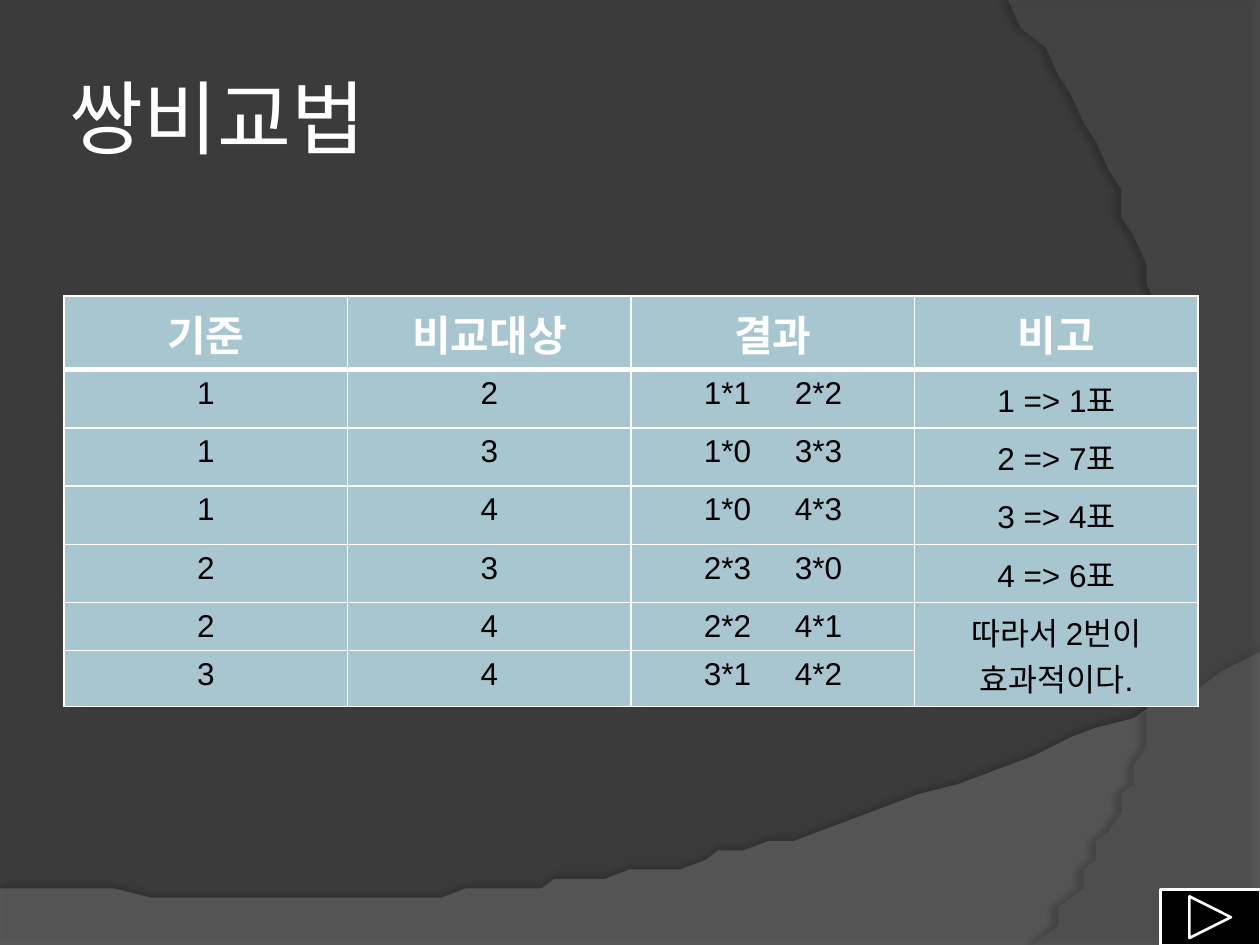
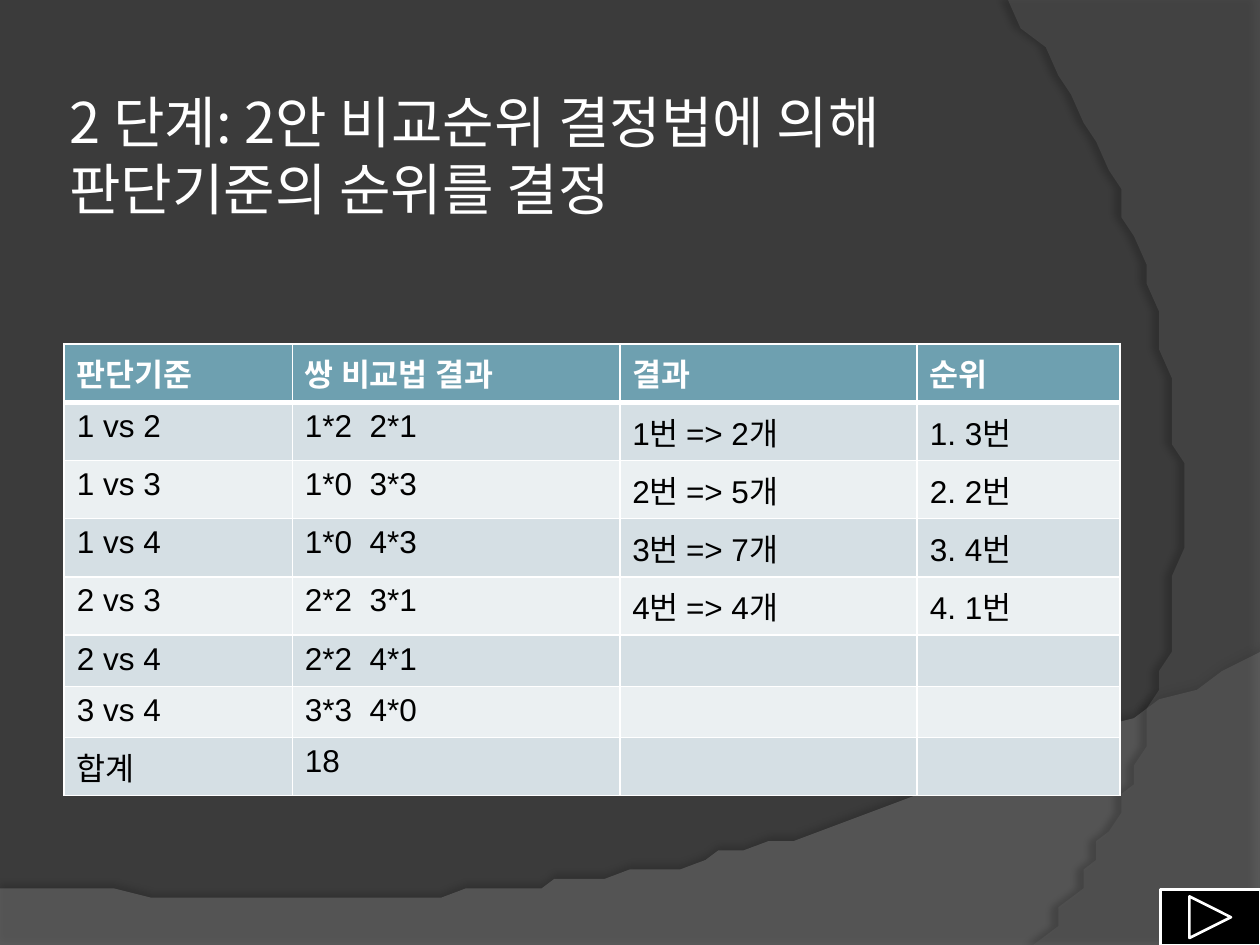
from dataclasses import dataclass

from lxml.etree import SubElement
from pptx import Presentation
from pptx.dml.color import RGBColor
from pptx.enum.shapes import MSO_SHAPE as Preset
from pptx.enum.text import MSO_ANCHOR as Anchor, MSO_AUTO_SIZE as AutoSize, PP_ALIGN as Align
from pptx.oxml.ns import qn
from pptx.util import Emu, Inches, Pt

WIDTH, HEIGHT = Inches(10), Inches(7.5)


@dataclass(frozen=True)
class Theme:
    background: str = "3B3B3B"
    wave: str = "7F7F7F"
    arc: str = "5E5E5E"
    light: str = "FFFFFF"
    dark: str = "000000"
    plain_row: str = "A8C6D0"
    header_row: str = "6EA0B0"
    odd_row: str = "D5DFE4"
    even_row: str = "EBF0F2"
    title_font: str = "Lato"
    korean_font: str = "Noto Sans CJK KR"
    body_font: str = "Arial"
    big_title: int = 46
    long_title: int = 32
    big_header: int = 24
    body: int = 18
    thin: float = 1
    thick: float = 3


THEME = Theme()


# Lengths as percentages of the slide
def across(percent):
    return Emu(round(WIDTH * percent / 100))


def down(percent):
    return Emu(round(HEIGHT * percent / 100))


def color(code):
    return RGBColor.from_string(code)


def add_span(para, text, font, size, code, bold=False):
    span = para.add_run()
    span.text = text
    span.font.name = font
    span.font.size = Pt(size)
    span.font.bold = bold
    span.font.color.rgb = color(code)
    return span


def add_color(parent, code, alpha=None):
    tint = SubElement(parent, qn("a:srgbClr"), val=code)
    if alpha is not None:
        SubElement(tint, qn("a:alpha"), val=str(alpha * 1000))


# Background shared through the layout
def curve(start, first, second, end, steps=48):
    for step in range(1, steps + 1):
        t = step / steps
        weights = (1 - t) ** 3, 3 * t * (1 - t) ** 2, 3 * t * t * (1 - t), t ** 3
        yield tuple(sum(w * point[axis] for w, point in zip(weights, (start, first, second, end)))
                    for axis in (0, 1))


def add_swoosh(page, layout, number, corners, bend, code, alpha, shadow):
    """Draw corners, then a curve from the last corner, and move it to the layout."""
    builder = page.shapes.build_freeform(*corners[0], scale=(WIDTH / 100, HEIGHT / 100))
    builder.add_line_segments([*corners[1:], *curve(corners[-1], *bend)], close=True)
    shape = builder.convert_to_shape()
    shape.line.fill.background()
    properties = shape.element.spPr
    shape.fill.solid()
    shape.fill.fore_color.rgb = color(code)
    tint = properties.find(qn("a:solidFill")).find(qn("a:srgbClr"))
    SubElement(tint, qn("a:alpha"), val=str(alpha * 1000))
    opacity, blur, distance, angle = shadow
    effects = SubElement(properties, qn("a:effectLst"))
    outer = SubElement(effects, qn("a:outerShdw"), blurRad=str(Pt(blur)), dist=str(Pt(distance)),
                       dir=str(angle * 60000), algn="ctr", rotWithShape="0")
    add_color(outer, THEME.dark, opacity)
    shape.element.nvSpPr.cNvPr.set("id", str(number))
    layout.shapes.element.append(shape.element)


def dress_layout(page, layout):
    layout.background.fill.solid()
    layout.background.fill.fore_color.rgb = color(THEME.background)
    add_swoosh(page, layout, 20, [(0, 94), (0, 100), (100, 100), (100, 69.33)],
               [(55.9, 97.2), (39.1, 95.87), (0, 94)], THEME.wave, 45, (35, 4, 3.5, 270))
    add_swoosh(page, layout, 21, [(100, 0.27), (100, 100), (82.1, 100)],
               [(93.5, 82.53), (101.8, 40), (80, 0)], THEME.arc, 40, (45, 4, 4, 180))


# Parts of each page
def set_title(page, text, top, font, size):
    box = page.shapes.title
    box.left, box.top, box.width, box.height = across(5), down(top), across(81.7), down(16.67)
    frame = box.text_frame
    frame.auto_size = AutoSize.NONE
    frame.vertical_anchor = Anchor.MIDDLE
    frame.margin_left = frame.margin_right = frame.margin_top = frame.margin_bottom = Inches(0.05)
    para = frame.paragraphs[0]
    para.alignment = Align.LEFT
    add_span(para, text, font, size, THEME.light)


def add_next_button(page):
    button = page.shapes.add_shape(Preset.ACTION_BUTTON_FORWARD_OR_NEXT,
                                   across(92.1), down(94.13), across(7.9), down(5.87))
    button.shadow.inherit = False
    button.fill.solid()
    button.fill.fore_color.rgb = color(THEME.dark)
    button.line.color.rgb = color(THEME.light)
    button.line.width = Pt(1.5)


def style_cell(cell, fill, top, bottom):
    properties = cell._tc.get_or_add_tcPr()
    for side, width in zip("LRTB", (THEME.thin, THEME.thin, top, bottom)):
        line = SubElement(properties, qn(f"a:ln{side}"), w=str(Pt(width)))
        add_color(SubElement(line, qn("a:solidFill")), THEME.light)
    cell.fill.solid()
    cell.fill.fore_color.rgb = color(fill)


def write_cell(cell, content, align, gap, size, code, bold):
    """Write a text, or a pair of texts set apart by one widened space."""
    para = cell.text_frame.paragraphs[0]
    para.alignment = align
    parts = content if isinstance(content, tuple) else (content,)
    for index, part in enumerate(parts):
        if index:
            space = add_span(para, " ", THEME.body_font, size, code, bold)
            space.font._element.set("spc", str(gap * 100))
        if part:
            add_span(para, part, THEME.body_font, size, code, bold)


def add_grid(page, top, columns, heights, rows, fills, align, gap, header_size):
    """fills holds the header colour and the two alternating row colours."""
    table = page.shapes.add_table(len(rows), len(columns), across(5.1), down(top),
                                  across(sum(columns)), down(sum(heights))).table
    for column, width in zip(table.columns, columns):
        column.width = across(width)
    for row, height in zip(table.rows, heights):
        row.height = down(height)
    for r, contents in enumerate(rows):
        header = r == 0
        fill = fills[0] if header else fills[2 - r % 2]
        for c, content in enumerate(contents):
            cell = table.cell(r, c)
            style_cell(cell, fill, THEME.thick if r == 1 else THEME.thin,
                       THEME.thick if header else THEME.thin)
            write_cell(cell, content, align, gap, header_size if header else THEME.body,
                       THEME.light if header else THEME.dark, header)
    return table


# Pages
def build_pair_comparison(page):
    set_title(page, "쌍비교법", 4, THEME.title_font, THEME.big_title)
    rows = [
        ("기준", "비교대상", "결과", "비고"),
        ("1", "2", ("1*1", "2*2"), "1 => 1표"),
        ("1", "3", ("1*0", "3*3"), "2 => 7표"),
        ("1", "4", ("1*0", "4*3"), "3 => 4표"),
        ("2", "3", ("2*3", "3*0"), "4 => 6표"),
        ("2", "4", ("2*2", "4*1"), "따라서 2번이 효과적이다."),
        ("3", "4", ("3*1", "4*2"), ""),
    ]
    table = add_grid(page, 31.33, [22.5] * 4, [5.07] * len(rows), rows,
                     [THEME.plain_row] * 3, Align.CENTER, 20, THEME.big_header)
    table.cell(5, 3).merge(table.cell(6, 3))


def build_ranking(page):
    set_title(page, "2 단계: 2안 비교순위 결정법에 의해 판단기준의 순위를 결정", 8,
              THEME.korean_font, THEME.long_title)
    rows = [
        ("판단기준", "쌍 비교법 결과", "결과", "순위"),
        ("1 vs 2", ("1*2", "2*1"), "1번 => 2개", "1. 3번"),
        ("1 vs 3", ("1*0", "3*3"), "2번 => 5개", "2. 2번"),
        ("1 vs 4", ("1*0", "4*3"), "3번 => 7개", "3. 4번"),
        ("2 vs 3", ("2*2", "3*1"), "4번 => 4개", "4. 1번"),
        ("2 vs 4", ("2*2", "4*1"), "", ""),
        ("3 vs 4", ("3*3", "4*0"), "", ""),
        ("합계", "18", "", ""),
    ]
    add_grid(page, 36.4, [18.1, 26, 23.6, 16.1], [4.8] * len(rows), rows,
             [THEME.header_row, THEME.odd_row, THEME.even_row], Align.LEFT, 5, THEME.body)


def main():
    deck = Presentation()
    deck.slide_width, deck.slide_height = WIDTH, HEIGHT
    layout = deck.slide_layouts.get_by_name("Title Only")
    for number, build in enumerate((build_pair_comparison, build_ranking)):
        page = deck.slides.add_slide(layout)
        if number == 0:
            dress_layout(page, layout)
        build(page)
        add_next_button(page)
    deck.save("out.pptx")


if __name__ == "__main__":
    main()
